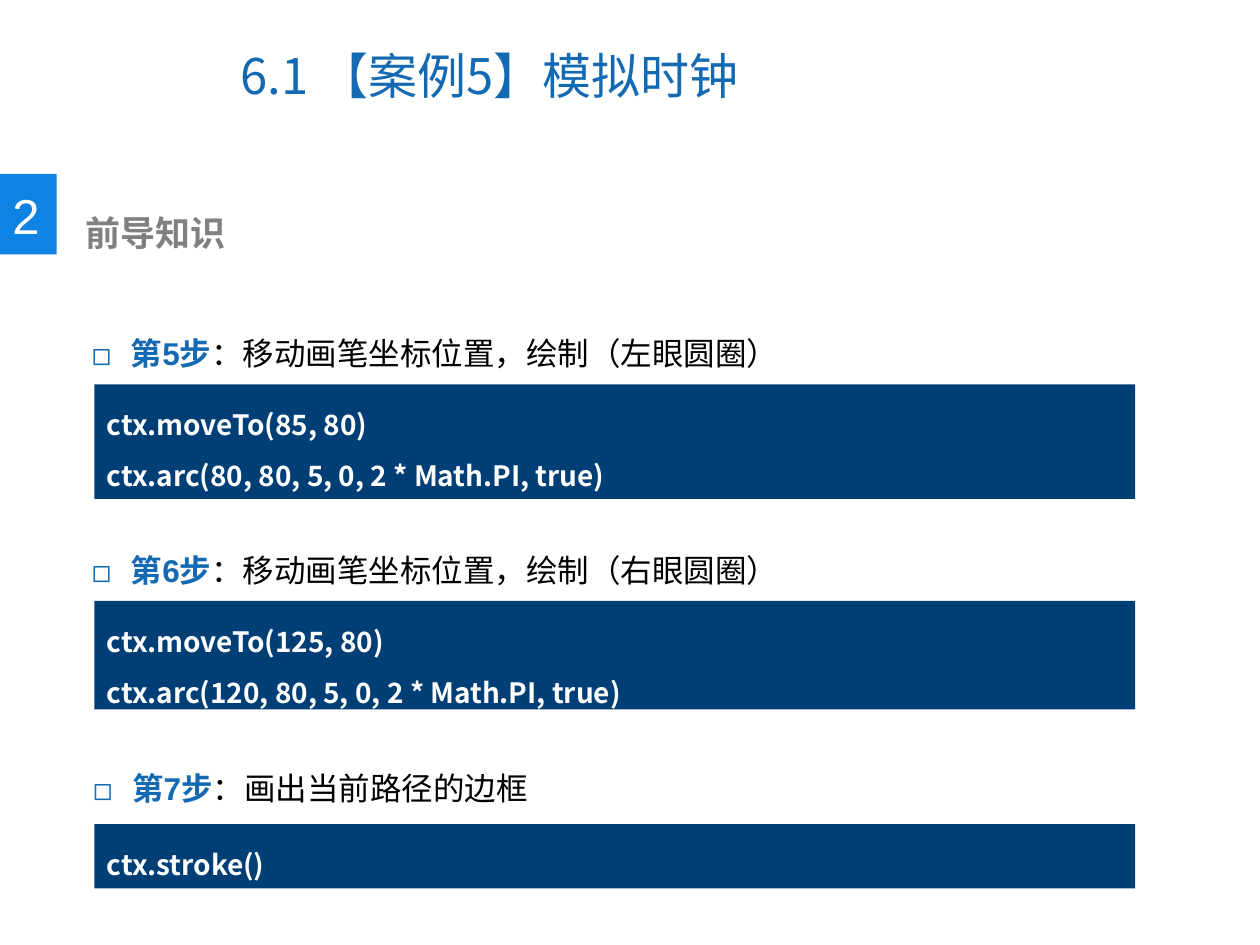
from lxml import etree
from pptx import Presentation
from pptx.dml.color import RGBColor
from pptx.enum import shapes, text
from pptx.oxml import ns
from pptx.util import Inches, Pt

TITLE = "6.1 【案例5】模拟时钟"
SECTION = ("2", "前导知识")
# label, description, code lines, label left and top, code top and height
STEPS = [
    ("第5步", "：移动画笔坐标位置，绘制（左眼圆圈）",
     ["ctx.moveTo(85, 80)", "ctx.arc(80, 80, 5, 0, 2 * Math.PI, true)"],
     (0.63, 2.29), (3.05, 0.91)),
    ("第6步", "：移动画笔坐标位置，绘制（右眼圆圈）",
     ["ctx.moveTo(125, 80)", "ctx.arc(120, 80, 5, 0, 2 * Math.PI, true)"],
     (0.63, 4.01), (4.77, 0.86)),
    ("第7步", "：画出当前路径的边框",
     ["ctx.stroke()"],
     (0.64, 5.74), (6.54, 0.51)),
]
THEME = {
    "sans": "Arial", "cjk": "Noto Sans CJK SC",
    "accent": "1369B2", "badge": "0F83E3", "panel": "003F75",
    "muted": "808080", "dark": "000000", "light": "FFFFFF",
    "title": 28, "section": 20, "step": 18, "code": 16,
    "step_line": 44, "code_line": 29,
}


def style(run, size, color, latin="sans", bold=False):
    font = run.font
    font.size, font.bold = Pt(THEME[size]), bold
    font.color.rgb = RGBColor.from_string(THEME[color])
    font.name = THEME[latin]
    east_asian = etree.Element(ns.qn("a:ea"), typeface=THEME["cjk"])
    run._r.rPr.find(ns.qn("a:latin")).addnext(east_asian)


def add_text_box(slide, left, top, width, height):
    frame = slide.shapes.add_textbox(
        Inches(left), Inches(top), Inches(width), Inches(height)).text_frame
    frame.word_wrap = True
    return frame


def add_block(slide, left, top, width, height, color):
    shape = slide.shapes.add_shape(
        shapes.MSO_SHAPE.RECTANGLE,
        Inches(left), Inches(top), Inches(width), Inches(height))
    shape.shadow.inherit = False
    shape.fill.solid()
    shape.fill.fore_color.rgb = RGBColor.from_string(THEME[color])
    shape.line.fill.background()
    return shape


def add_bullet(paragraph, character, indent):
    properties = paragraph._p.get_or_add_pPr()
    properties.set("marL", str(Inches(indent)))
    properties.set("indent", str(-Inches(indent)))
    color = etree.SubElement(properties, ns.qn("a:buClr"))
    etree.SubElement(color, ns.qn("a:srgbClr"), val=THEME["accent"])
    etree.SubElement(properties, ns.qn("a:buFont"), typeface=THEME["cjk"])
    etree.SubElement(properties, ns.qn("a:buChar"), char=character)


def add_title(slide):
    title = slide.shapes.title
    title.left, title.top = Inches(1.81), Inches(0.17)
    title.width, title.height = Inches(5.16), Inches(0.85)
    frame = title.text_frame
    frame.text = TITLE
    frame.vertical_anchor = text.MSO_ANCHOR.MIDDLE
    frame.auto_size = text.MSO_AUTO_SIZE.NONE
    paragraph = frame.paragraphs[0]
    paragraph.alignment = text.PP_ALIGN.LEFT
    style(paragraph.runs[0], "title", "accent", "cjk")


def add_section(slide):
    number, heading = SECTION
    add_block(slide, 0, 1.38, 0.45, 0.64, "badge")
    frame = add_text_box(slide, 0, 1.42, 0.42, 0.57)
    frame.word_wrap = False
    frame.text = number
    style(frame.paragraphs[0].runs[0], "title", "light")
    frame = add_text_box(slide, 0.58, 1.63, 5.03, 0.44)
    frame.text = heading
    style(frame.paragraphs[0].runs[0], "section", "muted", bold=True)


def add_step(slide, label, description, code, label_at, code_at):
    # Step heading
    paragraph = add_text_box(slide, *label_at, 8.65, 0.61).paragraphs[0]
    add_bullet(paragraph, "◻", 0.31)
    paragraph.line_spacing = Pt(THEME["step_line"])
    for words, color, bold in ((label, "accent", True),
                               (description, "dark", False)):
        run = paragraph.add_run()
        run.text = words
        style(run, "step", color, bold=bold)

    # Code panel
    top, height = code_at
    frame = add_block(slide, 0.75, top, 8.26, height, "panel").text_frame
    frame.word_wrap = True
    frame.vertical_anchor = text.MSO_ANCHOR.TOP
    frame.text = "\n".join(code)
    for paragraph in frame.paragraphs:
        paragraph.alignment = text.PP_ALIGN.LEFT
        paragraph.line_spacing = Pt(THEME["code_line"])
        style(paragraph.runs[0], "code", "light", "cjk", bold=True)


def main():
    presentation = Presentation()
    presentation.slide_width = Inches(10)
    presentation.slide_height = Inches(7.5)
    slide = presentation.slides.add_slide(presentation.slide_layouts[5])
    add_title(slide)
    add_section(slide)
    for step in STEPS:
        add_step(slide, *step)
    presentation.save("out.pptx")


if __name__ == "__main__":
    main()
